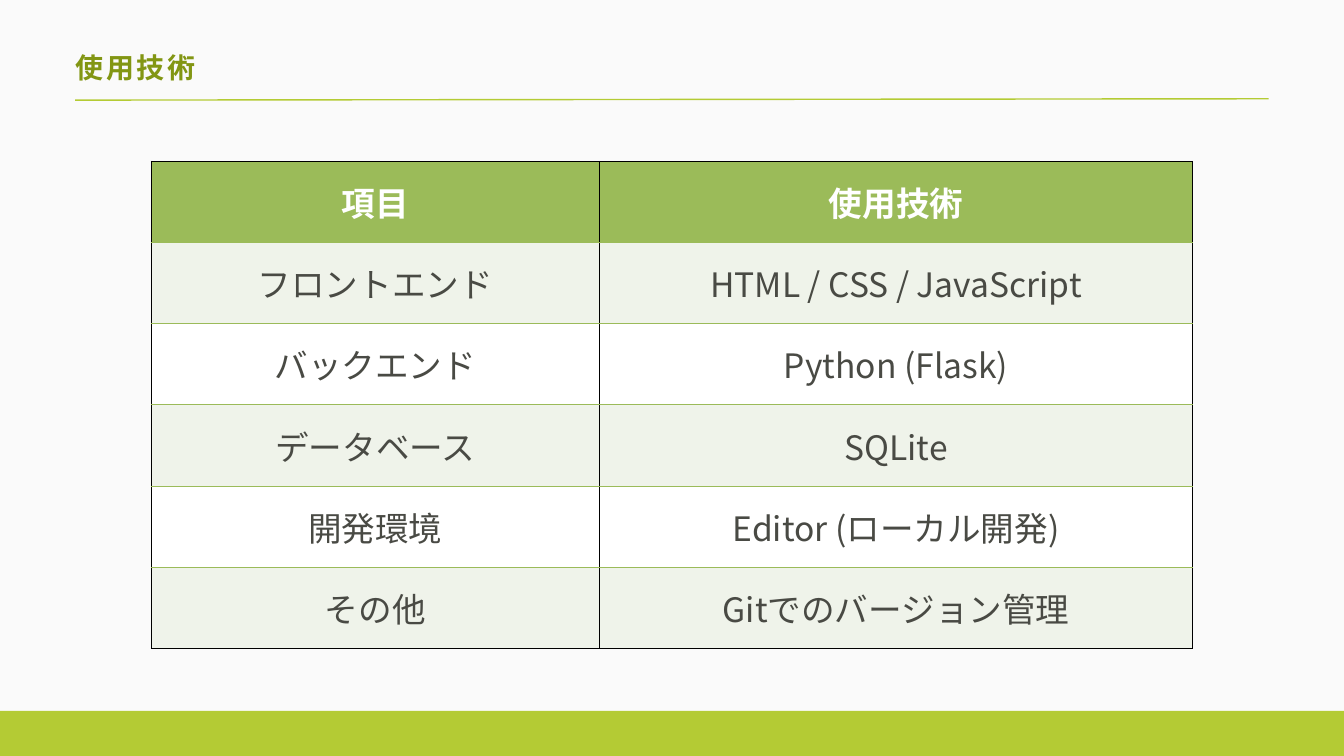
from dataclasses import dataclass

from lxml.etree import SubElement
from pptx import Presentation
from pptx.dml.color import RGBColor
from pptx.enum.shapes import MSO_CONNECTOR, MSO_SHAPE
from pptx.enum.text import MSO_ANCHOR, MSO_AUTO_SIZE, PP_ALIGN
from pptx.oxml.ns import qn
from pptx.util import Inches, Pt

FONT = "Noto Sans CJK SC"
LIME, OLIVE, GREEN = "B4CB34", "829613", "9BBB59"
PALE, WHITE, BLACK, GRAY = "EFF3EA", "FFFFFF", "000000", "494A44"


@dataclass
class Row:
    item: str
    technology: str


ROWS = [
    Row("項目", "使用技術"),
    Row("フロントエンド", "HTML / CSS / JavaScript"),
    Row("バックエンド", "Python (Flask)"),
    Row("データベース", "SQLite"),
    Row("開発環境", "Editor (ローカル開発)"),
    Row("その他", "Gitでのバージョン管理"),
]


def rgb(value: str) -> RGBColor:
    return RGBColor.from_string(value)


def add_run(p, text: str, size: float, color: str, bold: bool):
    r = p.add_run()
    r.text = text
    r.font.size = Pt(size)
    r.font.bold = bold
    r.font.color.rgb = rgb(color)
    r.font.name = FONT
    SubElement(r.font._element, qn("a:ea"), typeface=FONT)
    return r


def set_border(cell, side: str, color: str) -> None:
    tc_pr = cell._tc.get_or_add_tcPr()
    ln = SubElement(tc_pr, qn(f"a:ln{side}"), w=str(Pt(1)))
    fill = SubElement(ln, qn("a:solidFill"))
    SubElement(fill, qn("a:srgbClr"), val=color)


def fill_cell(cell, text: str, row: int) -> None:
    header, last = row == 0, row == len(ROWS) - 1
    borders = {
        "L": BLACK,
        "R": BLACK,
        "T": BLACK if header else GREEN,
        "B": BLACK if last else GREEN,
    }
    for side, color in borders.items():
        set_border(cell, side, color)
    cell.fill.solid()
    cell.fill.fore_color.rgb = rgb(GREEN if header else PALE if row % 2 else WHITE)
    cell.vertical_anchor = MSO_ANCHOR.MIDDLE
    p = cell.text_frame.paragraphs[0]
    p.alignment = PP_ALIGN.CENTER
    add_run(p, text, 36, WHITE if header else GRAY, header)


def add_title(s, text: str) -> None:
    tf = s.shapes.add_textbox(Inches(1.12), Inches(0.67), Inches(4.78), Inches(0.55)).text_frame
    tf.margin_left = tf.margin_top = tf.margin_right = tf.margin_bottom = 0
    tf.word_wrap = True
    tf.auto_size = MSO_AUTO_SIZE.SHAPE_TO_FIT_TEXT
    p = tf.paragraphs[0]
    p.line_spacing = Pt(42)
    r = add_run(p, text, 30, OLIVE, True)
    r.font._element.set("spc", "300")


def add_rule(s) -> None:
    line = s.shapes.add_connector(
        MSO_CONNECTOR.STRAIGHT, Inches(1.12), Inches(1.49), Inches(18.88), Inches(1.47)
    )
    line.line.color.rgb = rgb(LIME)
    line.line.width = Pt(1.5)
    SubElement(line._element.spPr, qn("a:effectLst"))


def add_footer(s) -> None:
    sp = s.shapes.add_shape(
        MSO_SHAPE.RECTANGLE, Inches(-0.27), Inches(10.58), Inches(20.54), Inches(0.67)
    )
    sp.shadow.inherit = False
    sp.fill.solid()
    sp.fill.fore_color.rgb = rgb(LIME)
    sp.line.fill.background()


def add_technology_table(s) -> None:
    table = s.shapes.add_table(
        len(ROWS), 2, Inches(2.25), Inches(2.4), Inches(15.5), Inches(7.25)
    ).table
    for column, width in zip(table.columns, (6.67, 8.83)):
        column.width = Inches(width)
    for i, row in enumerate(ROWS):
        fill_cell(table.cell(i, 0), row.item, i)
        fill_cell(table.cell(i, 1), row.technology, i)


def main() -> None:
    prs = Presentation()
    prs.slide_width, prs.slide_height = Inches(20), Inches(11.25)
    s = prs.slides.add_slide(prs.slide_layouts[6])
    s.background.fill.solid()
    s.background.fill.fore_color.rgb = rgb("FAFAFA")

    # Heading
    add_rule(s)
    add_title(s, "使用技術")

    # Footer band
    add_footer(s)

    # Table of technologies
    add_technology_table(s)

    prs.save("out.pptx")


if __name__ == "__main__":
    main()
